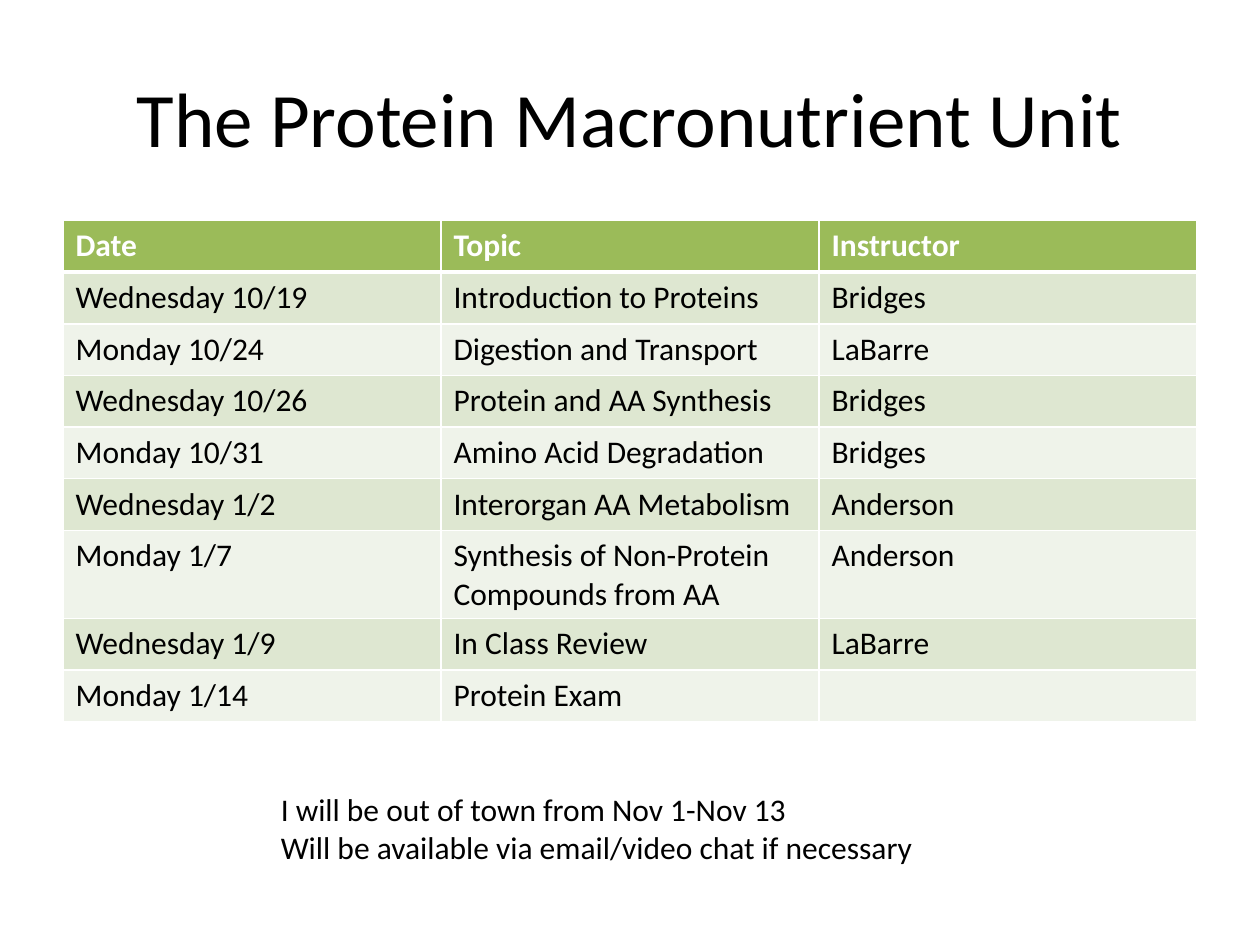
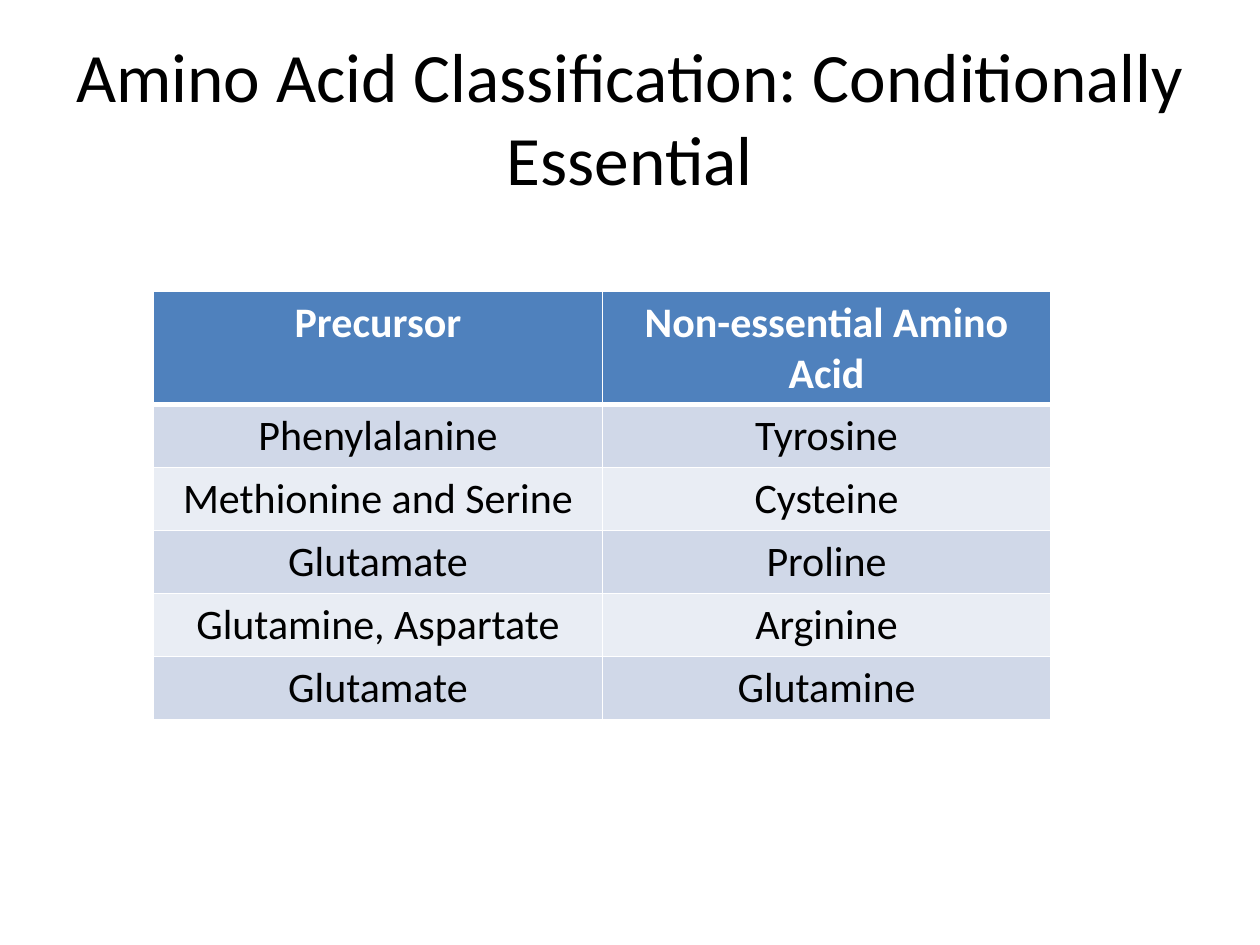
import dataclasses

import lxml.etree
import pptx
import pptx.dml.color
import pptx.enum.text
import pptx.oxml.ns
import pptx.slide
import pptx.table
import pptx.text.text
import pptx.util

RGBColor = pptx.dml.color.RGBColor
Inches = pptx.util.Inches
Pt = pptx.util.Pt
Align = pptx.enum.text.PP_ALIGN
Anchor = pptx.enum.text.MSO_ANCHOR

FONT = "Calibri"
BLACK = RGBColor(0x00, 0x00, 0x00)
WHITE = RGBColor(0xFF, 0xFF, 0xFF)
ROW_HEIGHT = 0.41
THIN, THICK = 1, 3  # border widths in points


@dataclasses.dataclass(frozen=True)
class Palette:
    header: RGBColor
    bands: tuple[RGBColor, RGBColor]


@dataclasses.dataclass(frozen=True)
class TableSpec:
    left: float
    top: float
    col_width: float
    size: float
    align: Align
    palette: Palette
    rows: list[tuple[str, ...]]


GREEN = Palette(RGBColor(0x9B, 0xBB, 0x59),
                (RGBColor(0xDE, 0xE7, 0xD1), RGBColor(0xEF, 0xF3, 0xEA)))
BLUE = Palette(RGBColor(0x4F, 0x81, 0xBD),
               (RGBColor(0xD0, 0xD8, 0xE8), RGBColor(0xE9, 0xED, 0xF4)))

SCHEDULE = TableSpec(0.5, 1.75, 3, 18, Align.LEFT, GREEN, [
    ("Date", "Topic", "Instructor"),
    ("Wednesday 10/19", "Introduction to Proteins", "Bridges"),
    ("Monday 10/24", "Digestion and Transport", "LaBarre"),
    ("Wednesday 10/26", "Protein and AA Synthesis", "Bridges"),
    ("Monday 10/31", "Amino Acid Degradation", "Bridges"),
    ("Wednesday 1/2", "Interorgan AA Metabolism", "Anderson"),
    ("Monday 1/7", "Synthesis of Non-Protein Compounds from AA", "Anderson"),
    ("Wednesday 1/9", "In Class Review", "LaBarre"),
    ("Monday 1/14", "Protein Exam", ""),
])
PRECURSORS = TableSpec(1.22, 2.31, 3.56, 24, Align.CENTER, BLUE, [
    ("Precursor", "Non-essential Amino Acid"),
    ("Phenylalanine", "Tyrosine"),
    ("Methionine and Serine", "Cysteine"),
    ("Glutamate", "Proline"),
    ("Glutamine, Aspartate", "Arginine"),
    ("Glutamate", "Glutamine"),
])
AWAY_NOTE = [
    "I will be out of town from Nov 1-Nov 13",
    "Will be available via email/video chat if necessary",
]


def add_run(p: pptx.text.text._Paragraph, text: str, size: float,
            color: RGBColor = BLACK, bold: bool = False) -> None:
    r = p.add_run()
    r.text = text
    r.font.name = FONT
    r.font.size = Pt(size)
    r.font.bold = bold
    r.font.color.rgb = color


def add_title(s: pptx.slide.Slide, text: str, size: float) -> None:
    sp = s.shapes.add_textbox(Inches(0.5), Inches(0.3), Inches(9), Inches(1.25))
    tf = sp.text_frame
    tf.word_wrap = True
    tf.vertical_anchor = Anchor.MIDDLE
    p = tf.paragraphs[0]
    p.alignment = Align.CENTER
    add_run(p, text, size)


def add_note(s: pptx.slide.Slide, lines: list[str]) -> None:
    sp = s.shapes.add_textbox(Inches(2.13), Inches(6.22), Inches(5.28), Inches(0.71))
    tf = sp.text_frame
    tf.word_wrap = False
    tf.auto_size = pptx.enum.text.MSO_AUTO_SIZE.SHAPE_TO_FIT_TEXT
    for i, line in enumerate(lines):
        p = tf.add_paragraph() if i else tf.paragraphs[0]
        add_run(p, line, 18)


def set_borders(cell: pptx.table._Cell, top: int, bottom: int) -> None:
    qn = pptx.oxml.ns.qn
    tc_pr = cell._tc.get_or_add_tcPr()
    widths = {"a:lnL": THIN, "a:lnR": THIN, "a:lnT": top, "a:lnB": bottom}
    for tag, width in widths.items():
        ln = lxml.etree.SubElement(tc_pr, qn(tag), w=str(Pt(width)))
        fill = lxml.etree.SubElement(ln, qn("a:solidFill"))
        lxml.etree.SubElement(fill, qn("a:srgbClr"), val=str(WHITE))


def add_table(s: pptx.slide.Slide, spec: TableSpec) -> None:
    n_rows, n_cols = len(spec.rows), len(spec.rows[0])
    table = s.shapes.add_table(
        n_rows, n_cols, Inches(spec.left), Inches(spec.top),
        Inches(spec.col_width * n_cols), Inches(ROW_HEIGHT * n_rows)).table
    for i, row in enumerate(spec.rows):
        header = i == 0
        for j, text in enumerate(row):
            cell = table.cell(i, j)
            set_borders(cell, THICK if i == 1 else THIN, THICK if header else THIN)
            cell.fill.solid()
            cell.fill.fore_color.rgb = (
                spec.palette.header if header else spec.palette.bands[(i - 1) % 2])
            p = cell.text_frame.paragraphs[0]
            p.alignment = spec.align
            if text:
                add_run(p, text, spec.size, WHITE if header else BLACK, header)


def main() -> None:
    prs = pptx.Presentation()
    prs.slide_width, prs.slide_height = Inches(10), Inches(7.5)
    blank = prs.slide_layouts[6]

    # Unit schedule
    s = prs.slides.add_slide(blank)
    add_title(s, "The Protein Macronutrient Unit", 44)
    add_table(s, SCHEDULE)
    add_note(s, AWAY_NOTE)

    # Conditionally essential amino acids
    s = prs.slides.add_slide(blank)
    add_title(s, "Amino Acid Classification: Conditionally Essential", 39.6)
    add_table(s, PRECURSORS)

    prs.save("out.pptx")


if __name__ == "__main__":
    main()
